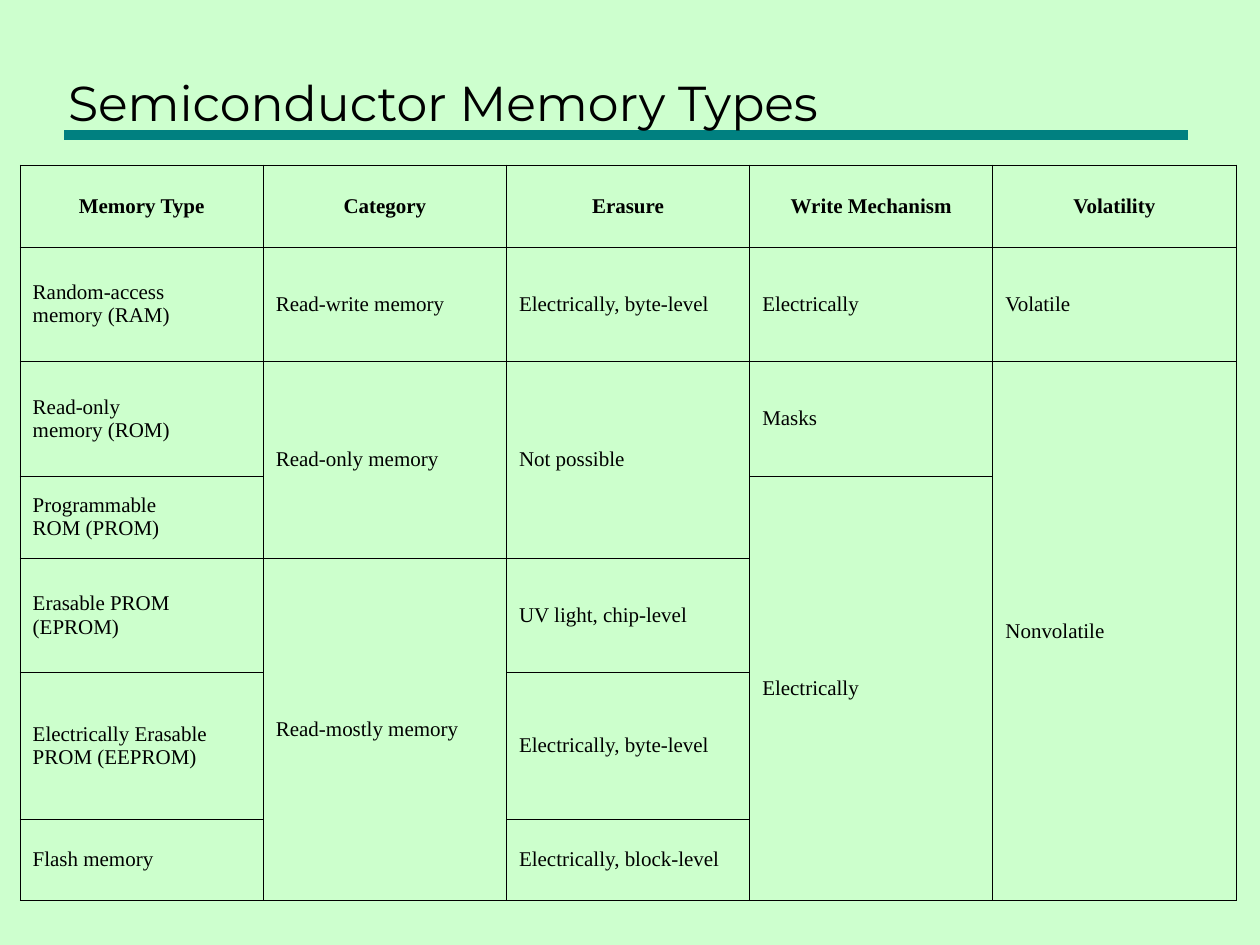
from dataclasses import dataclass

from lxml import etree
from pptx import Presentation
from pptx.dml.color import RGBColor
from pptx.enum import shapes, text
from pptx.oxml import ns
from pptx.util import Inches, Pt


@dataclass(frozen=True)
class Theme:
    """Colours, fonts and sizes of the slide."""
    background: str = "CDFFCE"
    cell: str = "CCFFCC"
    ink: str = "000000"
    rule: str = "008080"
    title_font: str = "Montserrat"
    body_font: str = "Times New Roman"
    title_size: float = 28
    body_size: float = 12
    rule_width: float = 6
    border_width: float = 0.45


THEME = Theme()
LEFT, CENTER = text.PP_ALIGN.LEFT, text.PP_ALIGN.CENTER
COLUMN_WIDTH = 1.93
ROW_HEIGHTS = [0.65, 0.91, 0.91, 0.65, 0.91, 1.16, 0.65]
HEADINGS = ["Memory Type", "Category", "Erasure", "Write Mechanism", "Volatility"]
COLUMNS = [
    [("Random-access \vmemory (RAM)", 1), ("Read-only \vmemory (ROM)", 1),
     ("Programmable \vROM (PROM)", 1), ("Erasable PROM \v(EPROM)", 1),
     ("Electrically Erasable PROM (EEPROM)", 1), ("Flash memory", 1)],
    [("Read-write memory", 1), ("Read-only memory", 2), ("Read-mostly memory", 3)],
    [("Electrically, byte-level", 1), ("Not possible", 2), ("UV light, chip-level", 1),
     ("Electrically, byte-level", 1), ("Electrically, block-level", 1)],
    [("Electrically", 1), ("Masks", 1), ("Electrically", 4)],
    [("Volatile", 1), ("Nonvolatile", 5)],
]


def write(frame, wording, *, font=THEME.body_font, size=THEME.body_size, bold=False, align=LEFT):
    """Put formatted wording into a text frame."""
    frame.text = wording
    paragraph = frame.paragraphs[0]
    paragraph.alignment = align
    for run in paragraph.runs:
        run.font.name = font
        run.font.size = Pt(size)
        run.font.bold = bold
        run.font.color.rgb = RGBColor.from_string(THEME.ink)


def style_cell(cell):
    """Give a table cell its four borders, fill and anchor."""
    properties = cell._tc.get_or_add_tcPr()
    for side in ("lnL", "lnR", "lnT", "lnB"):
        border = etree.SubElement(properties, ns.qn(f"a:{side}"), w=str(Pt(THEME.border_width)))
        fill = etree.SubElement(border, ns.qn("a:solidFill"))
        etree.SubElement(fill, ns.qn("a:srgbClr"), val=THEME.ink)
    cell.fill.solid()
    cell.fill.fore_color.rgb = RGBColor.from_string(THEME.cell)
    cell.vertical_anchor = text.MSO_ANCHOR.MIDDLE


def add_heading(slide, left, top, width, height):
    """Place the title and the rule beneath it."""
    rule_left, rule_top = Inches(left + 0.07), Inches(top + 0.9)
    rule = slide.shapes.add_connector(
        shapes.MSO_CONNECTOR.STRAIGHT, rule_left, rule_top,
        rule_left + Inches(width - 0.05), rule_top)
    rule.line.color.rgb = RGBColor.from_string(THEME.rule)
    rule.line.width = Pt(THEME.rule_width)
    etree.SubElement(rule._element.spPr, ns.qn("a:effectLst"))
    title = slide.shapes.title
    title.left, title.top = Inches(left), Inches(top)
    title.width, title.height = Inches(width), Inches(height)
    frame = title.text_frame
    frame.vertical_anchor = text.MSO_ANCHOR.BOTTOM
    frame.auto_size = text.MSO_AUTO_SIZE.NONE
    frame.word_wrap = True
    write(frame, "Semiconductor Memory Types", font=THEME.title_font, size=THEME.title_size)
    slide.shapes._spTree.append(title._element)


def add_memory_table(slide, left, top, width, height):
    """Place the table of memory types, merging cells down each column."""
    table = slide.shapes.add_table(
        len(ROW_HEIGHTS), len(HEADINGS),
        Inches(left), Inches(top), Inches(width), Inches(height)).table
    table.first_row = table.horz_banding = False
    for row, row_height in zip(table.rows, ROW_HEIGHTS):
        row.height = Inches(row_height)
    for column in table.columns:
        column.width = Inches(width / len(HEADINGS))
    for cell in table.iter_cells():
        style_cell(cell)
    for column, (heading, entries) in enumerate(zip(HEADINGS, COLUMNS)):
        write(table.cell(0, column).text_frame, heading, bold=True, align=CENTER)
        row = 1
        for wording, span in entries:
            cell = table.cell(row, column)
            if span > 1:
                cell.merge(table.cell(row + span - 1, column))
            write(cell.text_frame, wording)
            row += span


def main():
    """Build and save the slide."""
    deck = Presentation()
    deck.slide_width, deck.slide_height = Inches(10), Inches(7.5)
    slide = deck.slides.add_slide(deck.slide_layouts[5])
    slide.background.fill.solid()
    slide.background.fill.fore_color.rgb = RGBColor.from_string(THEME.background)
    add_heading(slide, 0.44, 0.17, 8.97, 0.92)
    add_memory_table(slide, 0.16, 1.31, COLUMN_WIDTH * len(HEADINGS), sum(ROW_HEIGHTS))
    deck.save("out.pptx")


if __name__ == "__main__":
    main()
